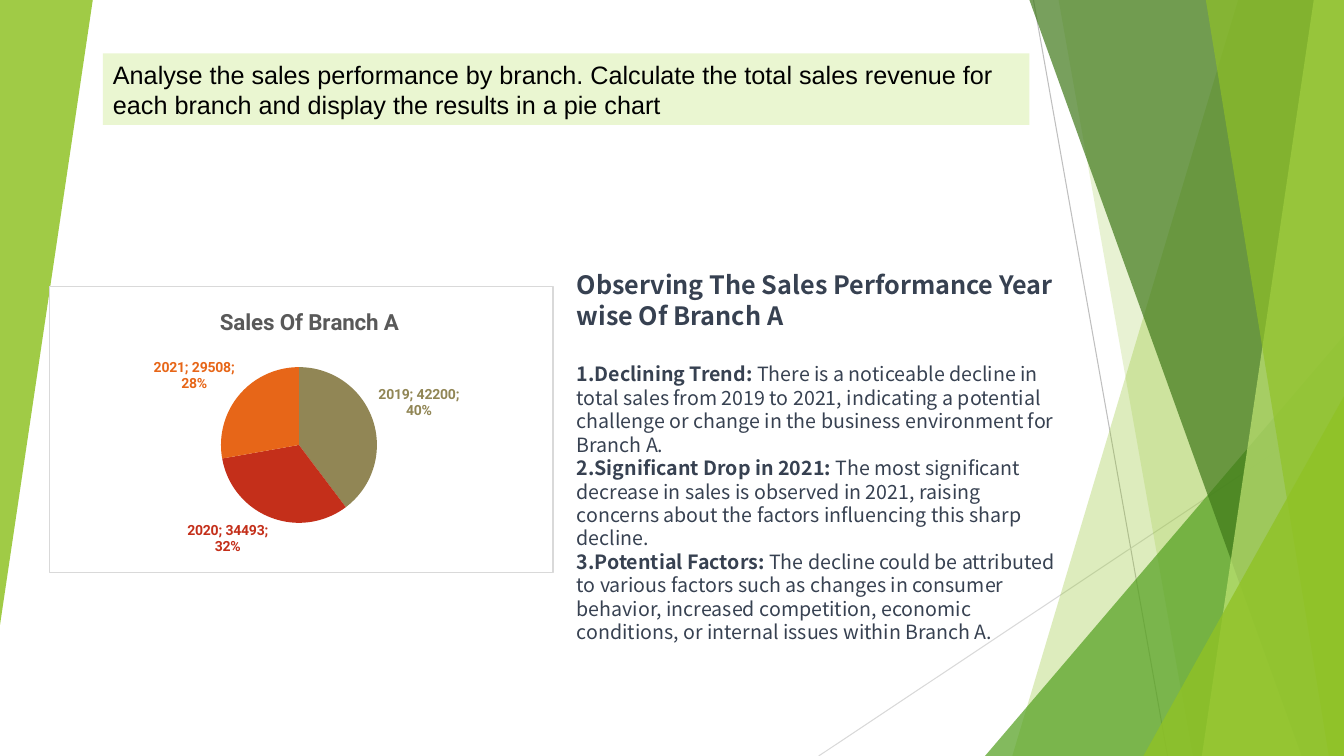
from lxml import etree
from pptx import Presentation
from pptx.chart.data import CategoryChartData
from pptx.dml.color import RGBColor
from pptx.enum.chart import XL_CHART_TYPE, XL_LABEL_POSITION
from pptx.enum.shapes import MSO_CONNECTOR, MSO_SHAPE
from pptx.enum.text import MSO_ANCHOR, MSO_AUTO_SIZE, PP_ALIGN
from pptx.oxml import parse_xml
from pptx.oxml.ns import nsdecls, qn
from pptx.util import Inches, Pt

PIE = XL_CHART_TYPE.PIE
OUTSIDE_END = XL_LABEL_POSITION.OUTSIDE_END
STRAIGHT = MSO_CONNECTOR.STRAIGHT
TRIANGLE = MSO_SHAPE.ISOSCELES_TRIANGLE
MIDDLE, TOP = MSO_ANCHOR.MIDDLE, MSO_ANCHOR.TOP
NO_AUTOFIT = MSO_AUTO_SIZE.NONE
LEFT = PP_ALIGN.LEFT

WIDTH, HEIGHT = 13.33, 7.5
GREEN = "90C226"
SLATE = "374151"


def rgb(value):
    return RGBColor.from_string(value)


class BranchSlide:
    """Holds the style and the slide being built."""

    title_font, body_font, chart_font = "Arial", "Noto Sans CJK JP", "Roboto"

    def __init__(self, slide):
        self.slide = slide
        self.shapes = slide.shapes

    def style(self, font, name, size, colour, bold=False):
        font.name, font.size, font.bold = name, Pt(size), bold
        font.color.rgb = rgb(colour)

    def line(self, start, end, colour):
        ends = [Inches(value) for value in (*start, *end)]
        connector = self.shapes.add_connector(STRAIGHT, *ends)
        connector.line.color.rgb = rgb(colour)
        connector.line.width = Pt(0.75)
        etree.SubElement(connector._element.spPr, qn("a:effectLst"))

    def paint(self, shape, colour, opacity):
        shape.shadow.inherit = False
        shape.line.fill.background()
        shape.fill.solid()
        shape.fill.fore_color.rgb = rgb(colour)
        tint = shape._element.spPr.find(".//" + qn("a:srgbClr"))
        etree.SubElement(tint, qn("a:alpha"), val=str(opacity * 1000))

    def facet(self, top_x, bottom_x, colour, opacity):
        """A full-height band from a slanted edge to the right slide edge."""
        corners = [(WIDTH, 0), (WIDTH, HEIGHT), (bottom_x, HEIGHT)]
        outline = self.shapes.build_freeform(Inches(top_x), 0, scale=1.0)
        outline.add_line_segments([(Inches(x), Inches(y)) for x, y in corners])
        self.paint(outline.convert_to_shape(), colour, opacity)

    def triangle(self, box, colour, opacity, rotation=0):
        corner = self.shapes.add_shape(TRIANGLE, *map(Inches, box))
        corner.adjustments[0] = 1
        corner.rotation = rotation
        self.paint(corner, colour, opacity)

    def place(self, placeholder, box, anchor):
        """Move a placeholder into its box and to the front."""
        placeholder.left, placeholder.top, placeholder.width, placeholder.height = map(Inches, box)
        self.shapes._spTree.append(placeholder._element)
        frame = placeholder.text_frame
        frame.word_wrap, frame.auto_size = True, NO_AUTOFIT
        frame.vertical_anchor = anchor
        return frame

    def title(self, text, box, fill):
        heading = self.shapes.title
        frame = self.place(heading, box, MIDDLE)
        heading.fill.solid()
        heading.fill.fore_color.rgb = rgb(fill)
        frame.text = text
        frame.paragraphs[0].alignment = LEFT
        self.style(frame.paragraphs[0].runs[0].font, self.title_font, 18, "000000")

    def findings(self, heading, items, box):
        frame = self.place(self.slide.placeholders[1], box, TOP)
        frame.text = "\n".join([heading] + [lead + detail for lead, detail in items])
        headline, *points = frame.paragraphs
        for paragraph in frame.paragraphs:
            props = paragraph._p.get_or_add_pPr()
            props.set("marL", "0")
            props.set("indent", "0")
            paragraph.space_before = Pt(0)
            paragraph.line_spacing = Pt(16.75)
        headline.line_spacing = Pt(22)
        etree.SubElement(headline._p.pPr, qn("a:buNone"))
        self.style(headline.runs[0].font, self.body_font, 18, SLATE, True)
        points[0].space_before = Pt(22.5)
        for point, (lead, detail) in zip(points, items):
            etree.SubElement(point._p.pPr, qn("a:buFont"), typeface="+mj-lt")
            etree.SubElement(point._p.pPr, qn("a:buAutoNum"), type="arabicPeriod")
            point.runs[0].text = lead
            point.add_run().text = detail
            for run, bold in zip(point.runs, (True, False)):
                self.style(run.font, self.body_font, 14, SLATE, bold)

    def layout_xml(self, target, **sizes):
        """Manual layout, as fractions of the chart area."""
        inner = '<c:layoutTarget val="inner"/>' if target == "plot" else ""
        modes = '<c:xMode val="edge"/><c:yMode val="edge"/>'
        values = "".join(f'<c:{key} val="{value}"/>' for key, value in sizes.items())
        return parse_xml(f'<c:layout {nsdecls("c")}><c:manualLayout>{inner}{modes}{values}'
                         '</c:manualLayout></c:layout>')

    def pie(self, title, sales, colours, box):
        data = CategoryChartData()
        data.categories = list(sales)
        data.add_series("Series 1", list(sales.values()))
        chart = self.shapes.add_chart(PIE, *map(Inches, box), data).chart
        chart.has_legend = False
        self.style(chart.font, self.chart_font, 10, "000000")

        # Chart title
        chart.has_title = True
        chart.chart_title.include_in_layout = False
        caption = chart.chart_title.text_frame
        caption.text = title
        self.style(caption.paragraphs[0].runs[0].font, self.chart_font, 16, "595959", True)
        title_xml = chart.chart_title._element
        for old in title_xml.findall(qn("c:layout")):
            title_xml.remove(old)
        title_xml.find(qn("c:tx")).addnext(self.layout_xml("title", x=0.33, y=0.06))

        # Plot position and chart frame
        plot_area = chart._chartSpace.chart.plotArea
        for old in plot_area.findall(qn("c:layout")):
            plot_area.remove(old)
        plot_area.insert(0, self.layout_xml("plot", x=0.34, y=0.28, w=0.31, h=0.55))
        chart._chartSpace.chart.addnext(parse_xml(
            f'<c:spPr {nsdecls("c", "a")}><a:solidFill><a:srgbClr val="FFFFFF"/></a:solidFill>'
            '<a:ln w="9525"><a:solidFill><a:srgbClr val="D9D9D9"/></a:solidFill></a:ln></c:spPr>'))

        # Slices and their labels
        chart.plots[0].vary_by_categories = True
        series = chart.plots[0].series[0]
        for index, colour in enumerate(colours):
            slice_ = series.points[index]
            slice_.format.fill.solid()
            slice_.format.fill.fore_color.rgb = rgb(colour)
            slice_.format.line.fill.background()
            self.style(slice_.data_label.font, self.chart_font, 10, colour, True)
            slice_.data_label.position = OUTSIDE_END
        for label in series._element.iter(qn("c:dLbl")):
            for part in ("showVal", "showCatName", "showPercent"):
                label.find(qn("c:" + part)).set("val", "1")
            separator = etree.SubElement(label, qn("c:separator"))
            separator.text = "; "


def main():
    deck = Presentation()
    deck.slide_width, deck.slide_height = Inches(WIDTH), Inches(HEIGHT)
    page = BranchSlide(deck.slides.add_slide(deck.slide_layouts[1]))

    # Green facets at the slide edges
    page.line((10.25, 0), (11.58, HEIGHT), "BFBFBF")
    page.line((WIDTH, 4.03), (8.12, HEIGHT), "D9D9D9")
    page.facet(12.28, 10.04, GREEN, 30)
    page.facet(10.5, 11.83, GREEN, 20)
    page.triangle((9.77, 3.33, 3.56, 4.17), "54A021", 72)
    page.facet(10.21, 12.91, "3F7819", 70)
    page.facet(13.03, 11.92, "C0E474", 70)
    page.facet(11.96, 13.18, GREEN, 65)
    page.triangle((11.34, 3.93, 1.99, 3.57), GREEN, 80)
    page.triangle((0, 0, 0.92, 6.2), GREEN, 85, rotation=180)

    # Task
    page.title("Analyse the sales performance by branch. Calculate the total sales revenue for "
               "each branch and display the results in a pie chart",
               (1.02, 0.53, 9.19, 0.71), "EAF6D1")

    # Sales by year
    page.pie("Sales Of Branch A", {"2019": 42200, "2020": 34493, "2021": 29508},
             ("918655", "C42F1A", "E76618"), (0.49, 2.84, 5, 2.84))

    # Findings
    page.findings("Observing The Sales Performance Year wise Of Branch A", [
        ("Declining Trend:", " There is a noticeable decline in total sales from 2019 to 2021, "
         "indicating a potential challenge or change in the business environment for Branch A."),
        ("Significant Drop in 2021:", " The most significant decrease in sales is observed in "
         "2021, raising concerns about the factors influencing this sharp decline."),
        ("Potential Factors:", " The decline could be attributed to various factors such as "
         "changes in consumer behavior, increased competition, economic conditions, or internal "
         "issues within Branch A."),
    ], (5.62, 2.62, 5, 4.21))

    deck.save("out.pptx")


if __name__ == "__main__":
    main()
